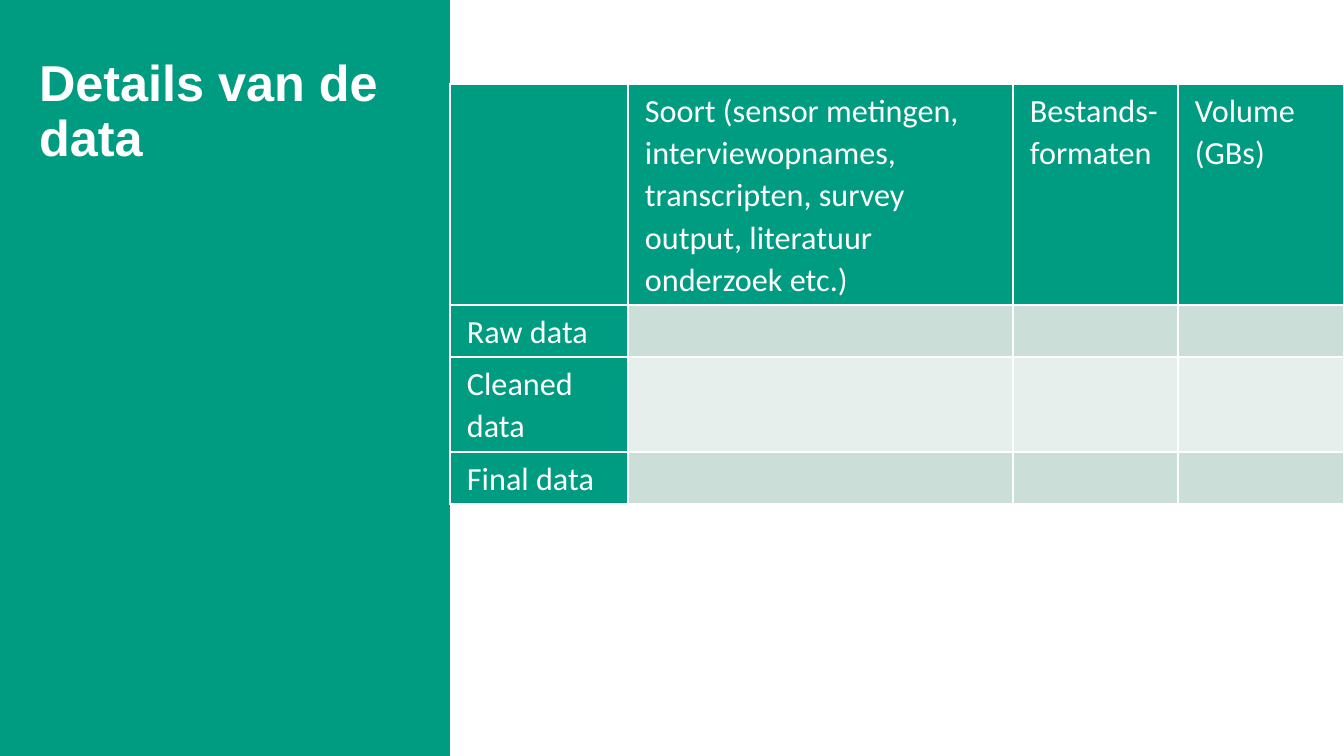
from dataclasses import dataclass

from lxml import etree
from pptx import Presentation
from pptx import util as u
from pptx.dml.color import RGBColor
from pptx.enum import shapes, text
from pptx.oxml import ns

EMU_PER_PX = 914400 / 100.8


@dataclass(frozen=True)
class Theme:
    green: str = "009C82"
    white: str = "FFFFFF"
    band_dark: str = "CBDED8"
    band_light: str = "E7EFED"
    title_font: str = "Arial"
    table_font: str = "Calibri"
    title_size: int = 36
    table_size: int = 23
    border_width: float = 0.96


@dataclass(frozen=True)
class Box:
    left: int
    top: int
    width: int
    height: int


@dataclass(frozen=True)
class TableRow:
    height: int
    cells: tuple[str, ...]


THEME = Theme()
SLIDE = Box(0, 0, 1344, 756)
PANEL = Box(0, 0, 450, 756)
TABLE_TOP = 84
COLUMN_WIDTHS = (178, 385, 165, 166)
ROWS = (
    TableRow(221, (
        "",
        "Soort (sensor metingen, interviewopnames, transcripten, "
        "survey output, literatuur onderzoek etc.)",
        "Bestands-formaten",
        "Volume (GBs)",
    )),
    TableRow(52, ("Raw data", "", "", "")),
    TableRow(95, ("Cleaned data", "", "", "")),
    TableRow(52, ("Final data", "", "", "")),
)


def px(length: int) -> int:
    return round(length * EMU_PER_PX)


def place(box: Box) -> tuple[int, int, int, int]:
    return px(box.left), px(box.top), px(box.width), px(box.height)


def paint(fill, color: str) -> None:
    fill.solid()
    fill.fore_color.rgb = RGBColor.from_string(color)


def set_margins(target, left: int, top: int, right: int, bottom: int) -> None:
    target.margin_left, target.margin_top = px(left), px(top)
    target.margin_right, target.margin_bottom = px(right), px(bottom)


def format_text(paragraph, font_name: str, size: int, spacing: float, bold: bool) -> None:
    paragraph.alignment = text.PP_ALIGN.LEFT
    paragraph.line_spacing = spacing
    for run in paragraph.runs:
        run.font.name = font_name
        run.font.size = u.Pt(size)
        run.font.bold = bold
        run.font.color.rgb = RGBColor.from_string(THEME.white)


def add_panel(slide) -> None:
    shape = slide.shapes.add_shape(shapes.MSO_SHAPE.RECTANGLE, *place(PANEL))
    shape.shadow.inherit = False
    shape.line.fill.background()
    paint(shape.fill, THEME.green)


def add_title(slide, title: str) -> None:
    frame = slide.shapes.add_textbox(*place(PANEL)).text_frame
    frame.word_wrap = True
    frame.vertical_anchor = text.MSO_ANCHOR.TOP
    set_margins(frame, 39, 88, 35, 80)
    frame.text = title
    format_text(frame.paragraphs[0], THEME.title_font, THEME.title_size, 0.9, True)


def add_borders(cell) -> None:
    properties = cell._tc.get_or_add_tcPr()
    for index, side in enumerate(("lnL", "lnR", "lnT", "lnB")):
        line = etree.Element(ns.qn(f"a:{side}"), w=str(int(u.Pt(THEME.border_width))))
        fill = etree.SubElement(line, ns.qn("a:solidFill"))
        etree.SubElement(fill, ns.qn("a:srgbClr"), val=THEME.white)
        properties.insert(index, line)


def cell_color(row: int, column: int) -> str:
    if row == 0 or column == 0:
        return THEME.green
    return THEME.band_dark if row % 2 else THEME.band_light


def add_data_table(slide) -> None:
    box = Box(PANEL.width, TABLE_TOP, sum(COLUMN_WIDTHS), sum(row.height for row in ROWS))
    table = slide.shapes.add_table(len(ROWS), len(COLUMN_WIDTHS), *place(box)).table
    table.first_col = True
    for column, width in zip(table.columns, COLUMN_WIDTHS):
        column.width = px(width)
    for row_index, row in enumerate(ROWS):
        table.rows[row_index].height = px(row.height)
        for column_index, label in enumerate(row.cells):
            cell = table.cell(row_index, column_index)
            set_margins(cell, 17, 5, 17, 5)
            paint(cell.fill, cell_color(row_index, column_index))
            add_borders(cell)
            if label:
                cell.text_frame.text = label
                format_text(cell.text_frame.paragraphs[0], THEME.table_font,
                            THEME.table_size, 1.07, False)


def main() -> None:
    presentation = Presentation()
    presentation.slide_width = px(SLIDE.width)
    presentation.slide_height = px(SLIDE.height)
    slide = presentation.slides.add_slide(presentation.slide_layouts[6])
    paint(slide.background.fill, THEME.white)
    add_panel(slide)
    add_title(slide, "Details van de data")
    add_data_table(slide)
    presentation.save("out.pptx")


if __name__ == "__main__":
    main()
